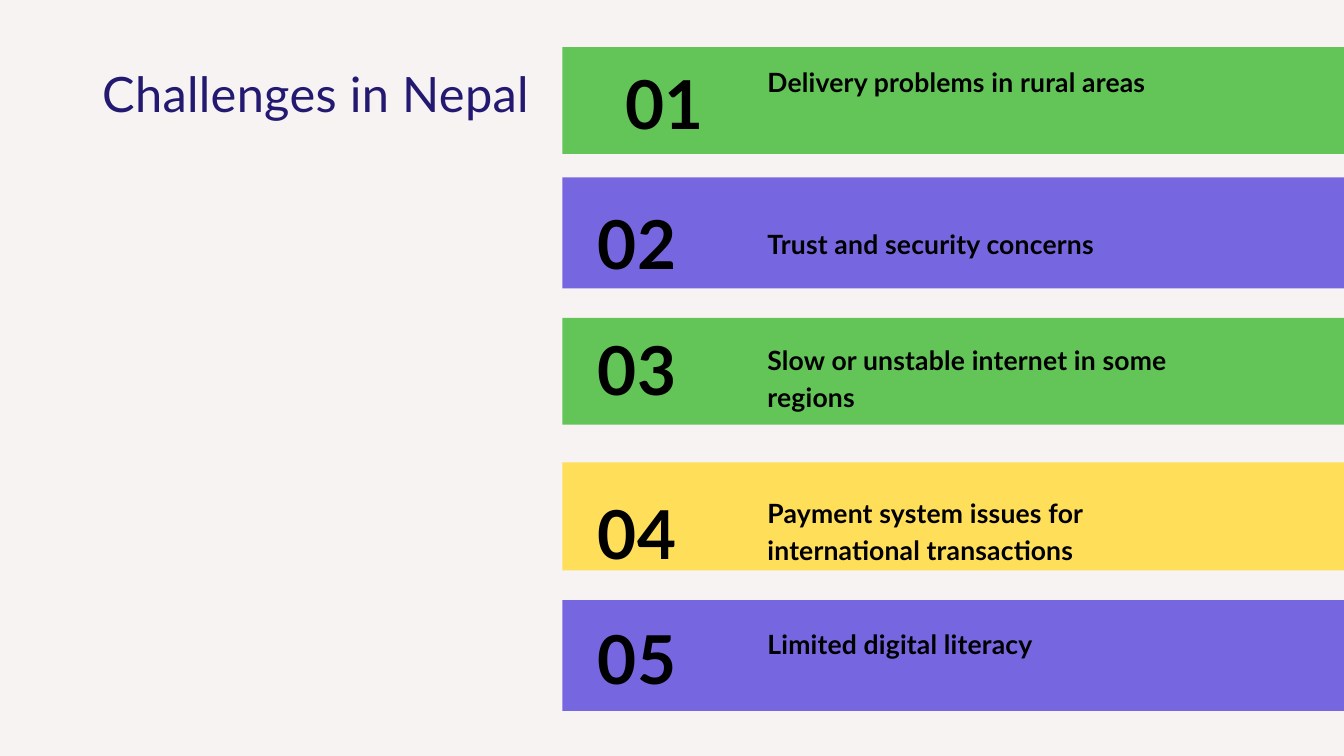
from pptx import Presentation
from pptx.dml.color import RGBColor
from pptx.enum.shapes import MSO_SHAPE
from pptx.enum.text import MSO_ANCHOR, MSO_AUTO_SIZE, PP_ALIGN
from pptx.util import Inches, Pt

RECTANGLE = MSO_SHAPE.RECTANGLE
TOP = MSO_ANCHOR.TOP
NO_AUTOFIT = MSO_AUTO_SIZE.NONE
LEFT, CENTER = PP_ALIGN.LEFT, PP_ALIGN.CENTER

GREEN, PURPLE, YELLOW = "63C457", "7667E1", "FFDE59"
BACKGROUND, NAVY, BLACK = "F7F3F2", "231971", "000000"
TITLE_ONLY = 5


def color(hex_string):
    return RGBColor.from_string(hex_string)


def write(box, text, size, line_height, spacing, ink, bold=False, align=LEFT):
    frame = box.text_frame
    frame.word_wrap = True
    frame.auto_size = NO_AUTOFIT
    frame.vertical_anchor = TOP
    frame.margin_left = frame.margin_right = 0
    frame.margin_top = frame.margin_bottom = 0
    para = frame.paragraphs[0]
    para.alignment = align
    para.line_spacing = Pt(line_height)
    span = para.add_run()
    span.text = text
    # Letter spacing, in hundredths of a point
    span._r.get_or_add_rPr().set("spc", str(spacing))
    para.font.name = "Lato"
    para.font.size = Pt(size)
    para.font.bold = bold
    para.font.color.rgb = color(ink)


deck = Presentation()
deck.slide_width = Inches(20)
deck.slide_height = Inches(11.25)
page = deck.slides.add_slide(deck.slide_layouts[TITLE_ONLY])
page.background.fill.solid()
page.background.fill.fore_color.rgb = color(BACKGROUND)

# Title
title = page.shapes.title
title.left, title.top = Inches(1.52), Inches(0.81)
title.width, title.height = Inches(6.84), Inches(1.99)
write(title, "Challenges in Nepal", 52.2, 73.1, 40, NAVY)

# Challenges: text, fill, bar top and height, number left and top, text top and height
challenges = [
    ("Delivery problems in rural areas", GREEN, 0.7, 1.59, 8.95, 0.73, 0.91, 1.09),
    ("Trust and security concerns", PURPLE, 2.64, 1.65, 8.54, 2.81, 3.31, 1.09),
    ("Slow or unstable internet in some regions", GREEN, 4.73, 1.59, 8.54, 4.68, 5.04, 1.65),
    ("Payment system issues for international transactions", YELLOW, 6.88, 1.61, 8.54, 7.12, 7.32, 1.09),
    ("Limited digital literacy", PURPLE, 8.93, 1.65, 8.54, 8.98, 9.27, 1.65),
]

for index, challenge in enumerate(challenges, start=1):
    text, fill, bar_top, bar_height, number_left, number_top, text_top, text_height = challenge

    # Bar running to the right edge
    bar = page.shapes.add_shape(
        RECTANGLE, Inches(8.37), Inches(bar_top), Inches(11.63), Inches(bar_height))
    bar.shadow.inherit = False
    bar.fill.solid()
    bar.fill.fore_color.rgb = color(fill)
    bar.line.fill.background()

    # Number and description
    number_box = page.shapes.add_textbox(
        Inches(number_left), Inches(number_top), Inches(1.88), Inches(1.37))
    write(number_box, f"{index:02}", 72.2, 101.1, 60, BLACK, bold=True, align=CENTER)
    text_box = page.shapes.add_textbox(
        Inches(11.42), Inches(text_top), Inches(6.91), Inches(text_height))
    write(text_box, text, 28.4, 39.8, 20, BLACK, bold=True)

deck.save("out.pptx")
